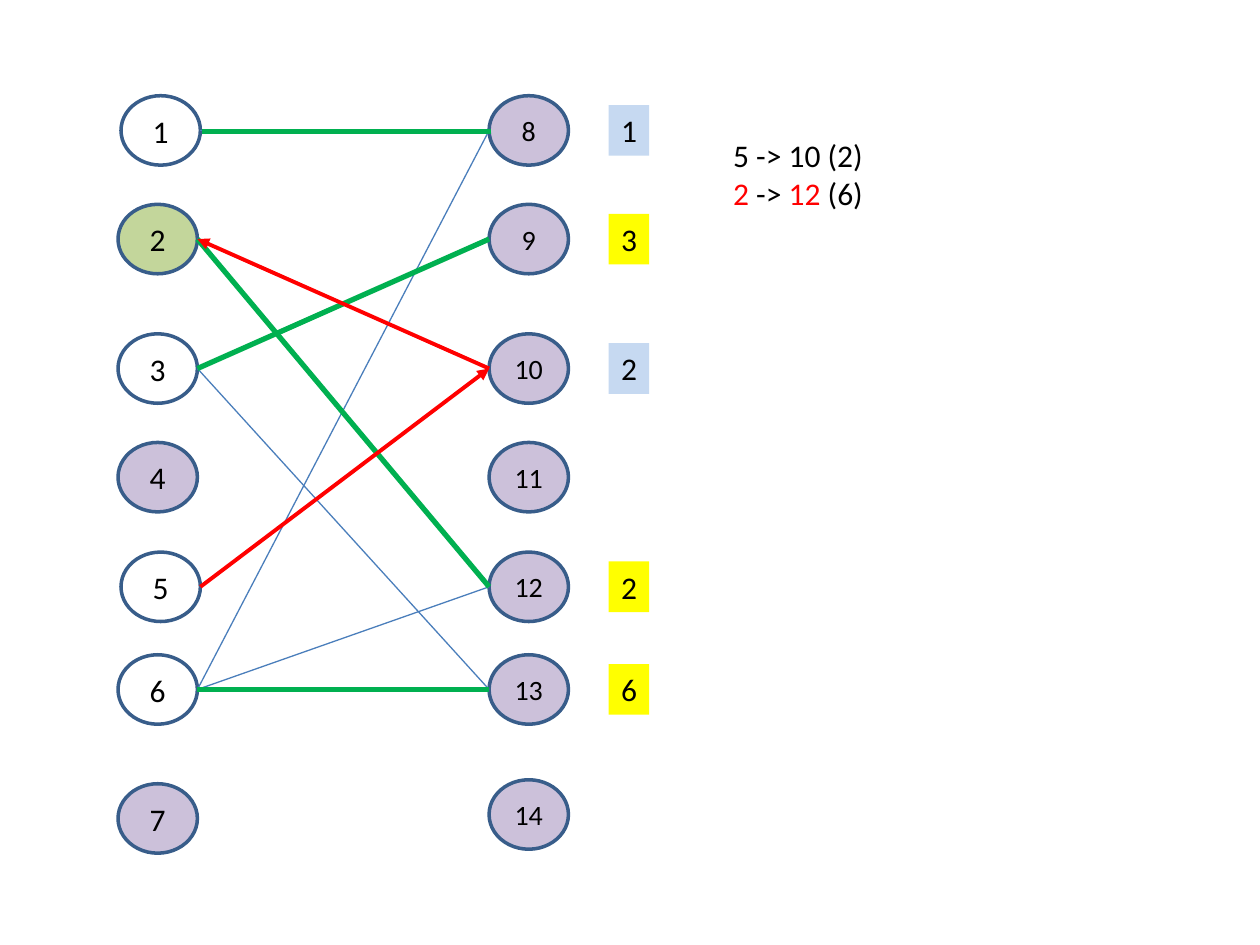
from lxml import etree
from pptx import Presentation
from pptx.dml.color import RGBColor
from pptx.enum.shapes import MSO_CONNECTOR, MSO_SHAPE
from pptx.enum.text import MSO_ANCHOR, MSO_AUTO_SIZE, PP_ALIGN
from pptx.oxml.ns import qn
from pptx.util import Cm, Pt

OVAL, RECTANGLE = MSO_SHAPE.OVAL, MSO_SHAPE.RECTANGLE
STRAIGHT = MSO_CONNECTOR.STRAIGHT
MIDDLE, TOP = MSO_ANCHOR.MIDDLE, MSO_ANCHOR.TOP
CENTER, LEFT = PP_ALIGN.CENTER, PP_ALIGN.LEFT
FIT_SHAPE = MSO_AUTO_SIZE.SHAPE_TO_FIT_TEXT

COLORS = {
    "black": "000000",
    "white": "FFFFFF",
    "outline": "385D8A",
    "start": "C3D69B",
    "unvisited": "CCC1DA",
    "edge": "4A7EBB",
    "matching": "00B050",
    "path": "FF0000",
    "settled": "C6D9F1",
    "changed": "FFFF00",
}
NODE_WIDTH, NODE_HEIGHT = 1.6, 1.4
INDENT = 0.06
ROW_TOPS = [1.93, 4.12, 6.73, 8.92, 11.13, 13.2]
LEFT_FILLS = ["white", "start", "white", "unvisited", "white", "white", "unvisited"]
EDGES = [(2, 10), (3, 13), (6, 8), (6, 12), (5, 10), (1, 8)]
MATCHING = [(3, 9), (2, 12), (6, 13)]
AUGMENTING_PATH = [(5, 10), (10, 2)]
LABELS = [(8, "1", "settled"), (9, "3", "changed"), (10, "2", "settled"),
          (12, "2", "changed"), (13, "6", "changed")]
STEPS = [
    [("5 -> 10 (2)", "black")],
    [("2", "path"), (" -> ", "black"), ("12", "path"), (" (6)", "black")],
]


def rgb(name):
    """Return the named colour."""
    return RGBColor.from_string(COLORS[name])


def add_text(paragraph, text, size=18, color="black", align=LEFT):
    """Append a formatted run to a paragraph."""
    paragraph.alignment = align
    run = paragraph.add_run()
    run.text = text
    run.font.name = "Calibri"
    run.font.size = Pt(size)
    run.font.color.rgb = rgb(color)


def add_box(slide, kind, left, top, width, height, fill):
    """Add a filled shape without a shadow."""
    shape = slide.shapes.add_shape(kind, Cm(left), Cm(top), Cm(width), Cm(height))
    shape.shadow.inherit = False
    shape.fill.solid()
    shape.fill.fore_color.rgb = rgb(fill)
    return shape


def add_node_column(slide, left, tops, first_number, fills, size, indented=()):
    """Draw one column of numbered nodes and return them by number."""
    nodes = {}
    for number, (top, fill) in enumerate(zip(tops, fills), first_number):
        node_left = left + INDENT if number in indented else left
        node = add_box(slide, OVAL, node_left, top, NODE_WIDTH, NODE_HEIGHT, fill)
        node.line.color.rgb = rgb("outline")
        node.line.width = Pt(2)
        node.text_frame.vertical_anchor = MIDDLE
        add_text(node.text_frame.paragraphs[0], str(number), size=size, align=CENTER)
        nodes[number] = node
    return nodes


def add_edge(slide, start, end, color, width, arrow=False, shift=(0, 0)):
    """Join the facing sides of two nodes."""
    points = []
    for node, other in ((start, end), (end, start)):
        side = node.width if node.left < other.left else 0
        points += [node.left + side + Cm(shift[0]),
                   node.top + node.height // 2 + Cm(shift[1])]
    connector = slide.shapes.add_connector(STRAIGHT, *points)
    connector.line.color.rgb = rgb(color)
    connector.line.width = Pt(width)
    if arrow:
        line = connector.line._get_or_add_ln()
        etree.SubElement(line, qn("a:tailEnd"), type="triangle")
    etree.SubElement(connector._element.spPr, qn("a:effectLst"))


def add_edges(slide, nodes):
    """Draw the plain edges, the matching and the augmenting path."""
    for start, end in EDGES:
        add_edge(slide, nodes[start], nodes[end], "edge", 0.75)
    for start, end in MATCHING:
        add_edge(slide, nodes[start], nodes[end], "matching", 3)
    for start, end in AUGMENTING_PATH:
        add_edge(slide, nodes[start], nodes[end], "path", 2.25, arrow=True)
    add_edge(slide, nodes[1], nodes[8], "matching", 3, shift=(0.04, 0.02))


def add_labels(slide, left, nodes):
    """Place a value label beside each matched node."""
    for number, value, fill in LABELS:
        top = nodes[number].top.cm + 0.19
        label = add_box(slide, RECTANGLE, left, top, 0.82, 1.02, fill)
        label.line.fill.background()
        frame = label.text_frame
        frame.word_wrap = False
        frame.auto_size = FIT_SHAPE
        frame.vertical_anchor = TOP
        add_text(frame.paragraphs[0], value)


def add_steps(slide, left, top, width, height):
    """List the steps of the search."""
    box = slide.shapes.add_textbox(Cm(left), Cm(top), Cm(width), Cm(height))
    frame = box.text_frame
    frame.word_wrap = False
    frame.auto_size = FIT_SHAPE
    for index, step in enumerate(STEPS):
        paragraph = frame.add_paragraph() if index else frame.paragraphs[0]
        for text, color in step:
            add_text(paragraph, text, color=color)


def main():
    """Build the matching slide."""
    presentation = Presentation()
    presentation.slide_width, presentation.slide_height = Cm(25.4), Cm(19.05)
    slide = presentation.slides.add_slide(presentation.slide_layouts[6])
    nodes = add_node_column(slide, 2.38, ROW_TOPS + [15.8], 1, LEFT_FILLS, 18,
                            indented=(1, 5))
    nodes.update(add_node_column(slide, 9.86, ROW_TOPS + [15.72], 8,
                                 ["unvisited"] * 7, 16))
    add_edges(slide, nodes)
    add_labels(slide, 12.27, nodes)
    add_steps(slide, 14.53, 2.62, 3.12, 1.78)
    presentation.save("out.pptx")


if __name__ == "__main__":
    main()
